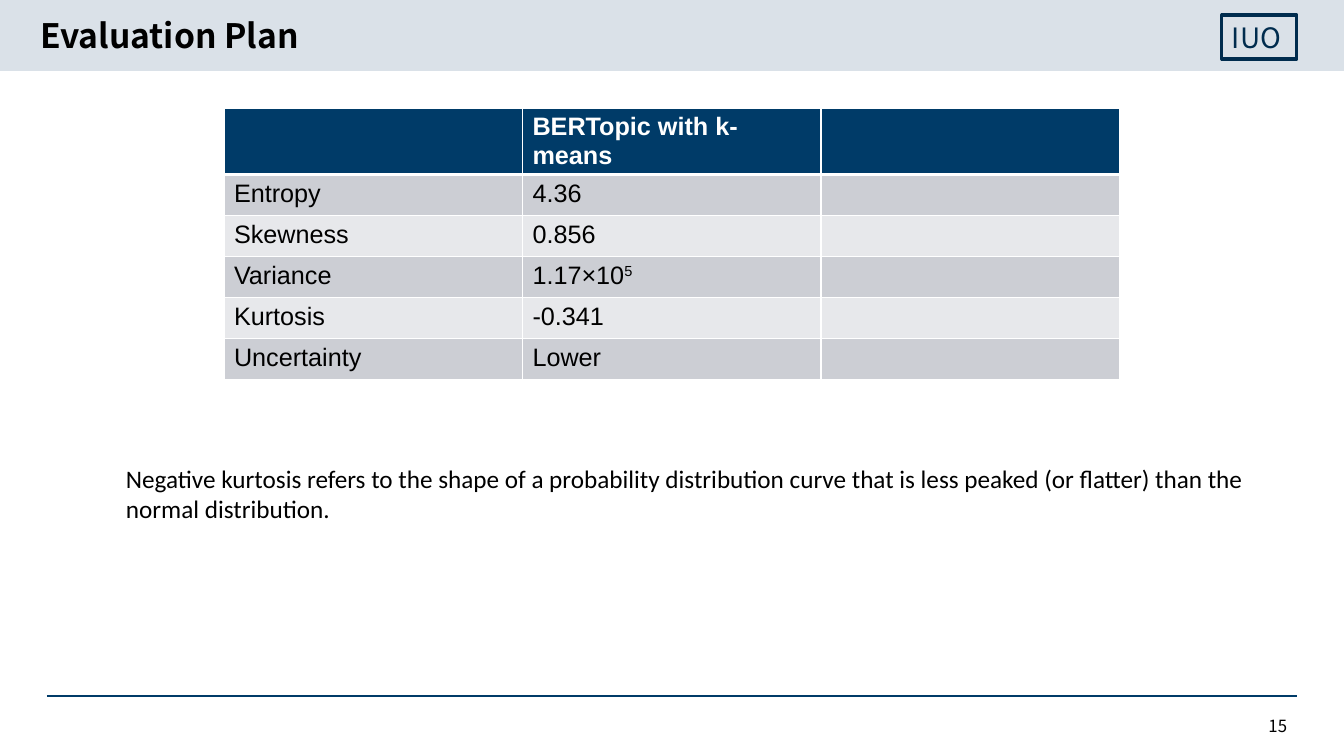
from lxml import etree
from pptx import Presentation
from pptx.dml.color import RGBColor
from pptx.enum.shapes import MSO_CONNECTOR, MSO_SHAPE
from pptx.enum.text import MSO_ANCHOR, PP_ALIGN
from pptx.oxml.ns import qn
from pptx.util import Emu, Pt

RECT, STRAIGHT = MSO_SHAPE.RECTANGLE, MSO_CONNECTOR.STRAIGHT
LEFT, RIGHT = PP_ALIGN.LEFT, PP_ALIGN.RIGHT
TOP, MIDDLE = MSO_ANCHOR.TOP, MSO_ANCHOR.MIDDLE

BLACK = RGBColor(0x00, 0x00, 0x00)
WHITE = RGBColor(0xFF, 0xFF, 0xFF)
NAVY = RGBColor(0x00, 0x3B, 0x68)
DARK_NAVY = RGBColor(0x00, 0x2C, 0x4E)
PALE_BLUE = RGBColor(0xDA, 0xE1, 0xE8)
BANDS = (RGBColor(0xCC, 0xCE, 0xD4), RGBColor(0xE7, 0xE8, 0xEB))

NOTO = "Noto Sans CJK JP"
HEADER = ("", "BERTopic with k-means", "")
METRICS = (
    ("Entropy", "4.36", ""),
    ("Skewness", "0.856", ""),
    ("Variance", "1.17×10^5", ""),
    ("Kurtosis", "-0.341", ""),
    ("Uncertainty", "Lower", ""),
)
ROW_HEIGHTS = (65, 41, 41, 41, 38, 38)
COL_WIDTH = 298.5
KURTOSIS_NOTE = ("Negative kurtosis refers to the shape of a probability distribution "
                 "curve that is less peaked (or flatter) than the normal distribution.")


def px(n):
    return Emu(round(n * 914400 / 100.8))


def box(*lengths):
    return [px(n) for n in lengths]


def set_attrs(obj, **values):
    for name, value in values.items():
        setattr(obj, name, value)


def add_run(p, text, size, font, color, bold=False):
    r = p.add_run()
    r.text = text
    set_attrs(r.font, size=Pt(size), name=font, bold=bold)
    r.font.color.rgb = color
    return r


def write(sp, text, size, font, color, bold=False, align=LEFT, **frame):
    tf = sp.text_frame
    set_attrs(tf, **{"word_wrap": True, "vertical_anchor": TOP, **frame})
    p = tf.paragraphs[0]
    p.alignment = align
    add_run(p, text, size, font, color, bold)
    return p


def add_rect(s, at, fill=None, line=None, width=0):
    sp = s.shapes.add_shape(RECT, *box(*at))
    sp.shadow.inherit = False
    if fill is None:
        sp.fill.background()
    else:
        sp.fill.solid()
        sp.fill.fore_color.rgb = fill
    if line is None:
        sp.line.fill.background()
    else:
        sp.line.color.rgb = line
        sp.line.width = Pt(width)
    return sp


def add_rule(s, x1, x2, y):
    line = s.shapes.add_connector(STRAIGHT, *box(x1, y, x2, y))
    line.line.color.rgb = NAVY
    line.line.width = Pt(1)
    etree.SubElement(line._element.spPr, qn("a:effectLst"))


def set_borders(cell, **widths):
    """Draw white cell borders; widths in points, keyed by side L, R, T, B."""
    tcPr = cell._tc.get_or_add_tcPr()
    for side, width in widths.items():
        ln = etree.SubElement(tcPr, qn("a:ln" + side), w=str(Pt(width)))
        fill = etree.SubElement(ln, qn("a:solidFill"))
        etree.SubElement(fill, qn("a:srgbClr"), val=str(WHITE))


def fill_cell(cell, text, row):
    """Text after ^ is set as superscript."""
    header = row == 0
    set_borders(cell, L=1, R=1, T=3 if row == 1 else 1, B=3 if header else 1)
    cell.fill.solid()
    cell.fill.fore_color.rgb = NAVY if header else BANDS[(row - 1) % 2]
    if not text:
        return
    base, _, power = text.partition("^")
    p = cell.text_frame.paragraphs[0]
    style = (18, "Arial", WHITE if header else BLACK, header)
    add_run(p, base, *style)
    if power:
        r = add_run(p, power, *style)
        r.font._element.set("baseline", "30000")


def add_metrics_table(s, left, top):
    rows = (HEADER, *METRICS)
    at = box(left, top, COL_WIDTH * len(HEADER), sum(ROW_HEIGHTS))
    table = s.shapes.add_table(len(rows), len(HEADER), *at).table
    for col in table.columns:
        col.width = px(COL_WIDTH)
    for i, (values, height) in enumerate(zip(rows, ROW_HEIGHTS)):
        table.rows[i].height = px(height)
        for j, text in enumerate(values):
            fill_cell(table.cell(i, j), text, i)


def add_title(s, text):
    title = s.shapes.title
    left, top, width, height = box(30, 20, 1207, 36)
    set_attrs(title, left=left, top=top, width=width, height=height)
    p = write(title, text, 24, NOTO, BLACK, bold=True, vertical_anchor=MIDDLE,
              margin_left=px(10), margin_right=px(10), margin_top=0, margin_bottom=0)
    p.line_spacing = 0.9


def main():
    prs = Presentation()
    set_attrs(prs, slide_width=px(1344), slide_height=px(756))
    s = prs.slides.add_slide(prs.slide_layouts[5])

    band = add_rect(s, (0, 0, 1344, 71), fill=PALE_BLUE)
    s.shapes._spTree.insert(2, band._element)
    add_title(s, "Evaluation Plan")
    add_rule(s, 47, 1297, 696)
    label = add_rect(s, (1222, 15, 75, 44), line=DARK_NAVY, width=2.25)
    write(label, "IUO", 20, NOTO, DARK_NAVY, word_wrap=False, vertical_anchor=MIDDLE)

    add_metrics_table(s, 224, 108)
    note = s.shapes.add_textbox(*box(116, 458, 1151, 71))
    write(note, KURTOSIS_NOTE, 18, "Calibri", BLACK)
    number = s.shapes.add_textbox(*box(1228, 706, 69, 40))
    write(number, "15", 12, NOTO, BLACK, align=RIGHT, vertical_anchor=MIDDLE)

    prs.save("out.pptx")


if __name__ == "__main__":
    main()
